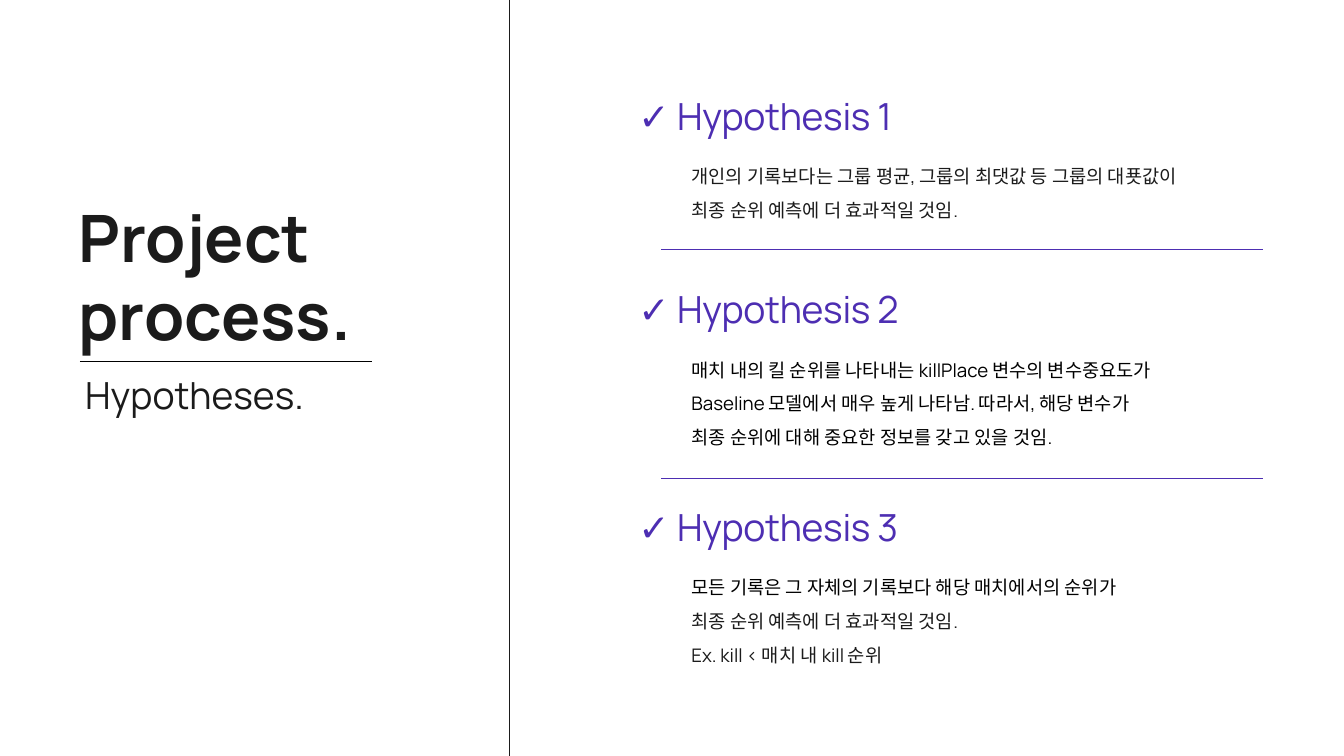
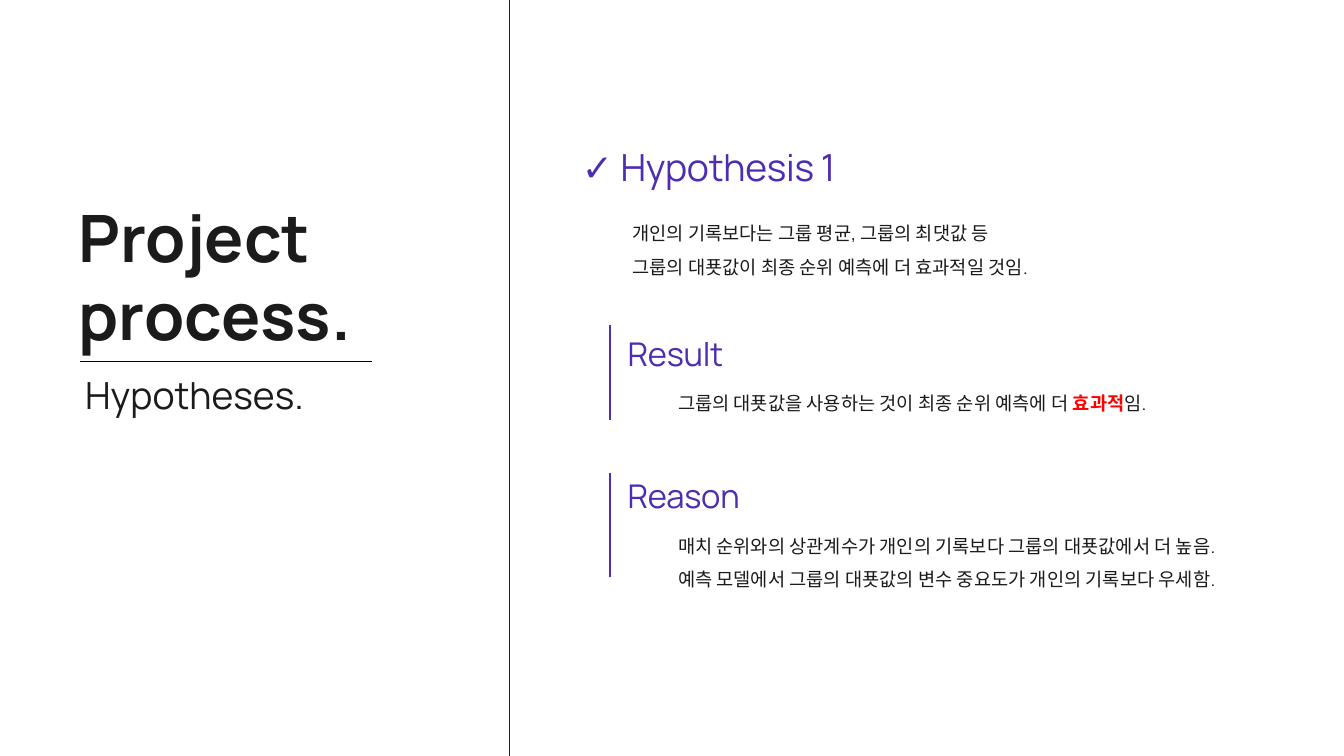
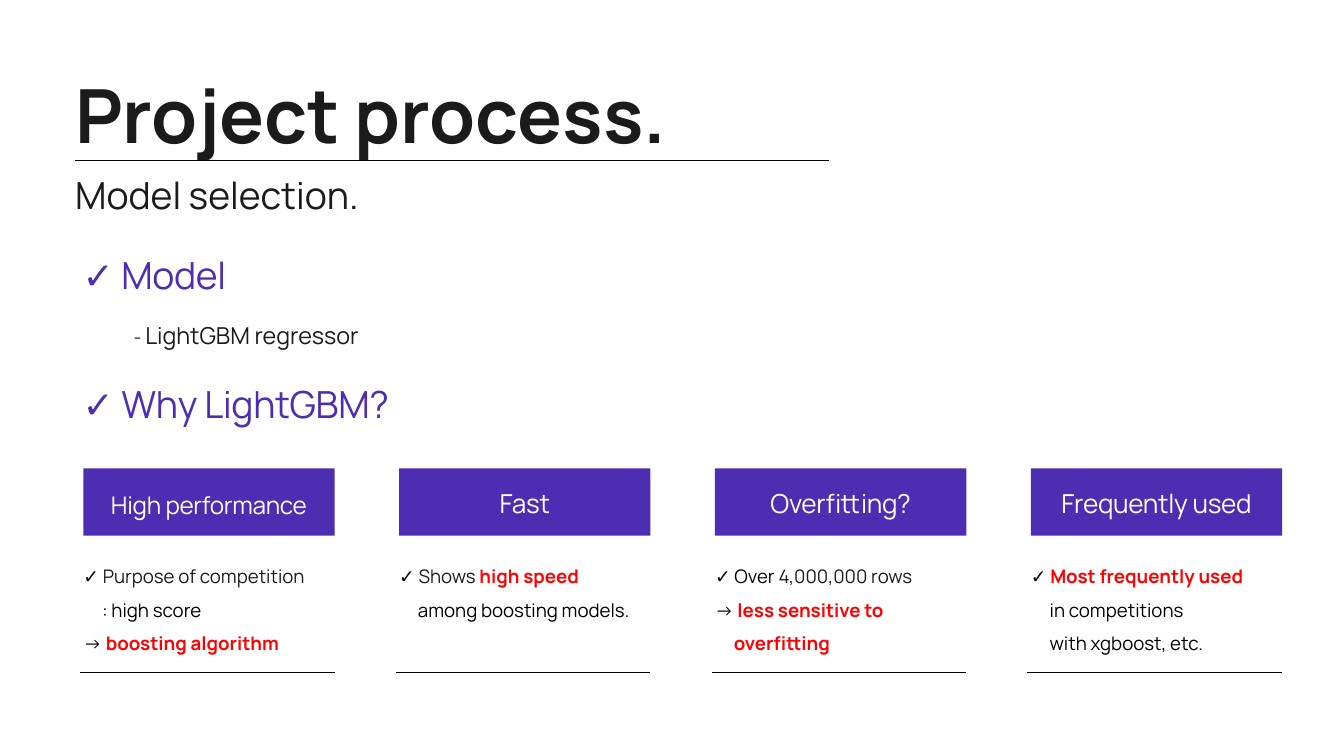
from dataclasses import dataclass, replace

from lxml.etree import SubElement
from pptx import Presentation
from pptx.dml.color import RGBColor
from pptx.enum.shapes import MSO_CONNECTOR, MSO_SHAPE
from pptx.enum.text import MSO_AUTO_SIZE, PP_ALIGN
from pptx.oxml.ns import qn
from pptx.util import Inches, Pt

# The slide is a grid of square cells, 20 columns wide and 11.25 rows high.
COLS, ROWS = 20, 11.25
CELL = Inches(1)

INK = RGBColor(0x1B, 0x1B, 0x1B)
BLACK = RGBColor(0, 0, 0)
WHITE = RGBColor(0xFF, 0xFF, 0xFF)
VIOLET = RGBColor(0x4D, 0x2E, 0xB2)
RED = RGBColor(0xFF, 0, 0)

FONT = "Manrope"
HANG = 0.28
TIGHT = Pt(36.4)
SNUG = Pt(28.4)


@dataclass(frozen=True)
class Look:
    size: float
    color: RGBColor = INK
    bold: bool = False
    track: float = 0


BODY = Look(20)
DARK = Look(20, BLACK)
HOT = Look(20, RED, True)
MARK = Look(40, VIOLET)
HEAD = replace(MARK, track=-0.3)
NOTE = replace(HEAD, size=35)
CARD = Look(28, WHITE, track=-0.3)
SUB = Look(40)


def cells(*parts):
    return [round(part * CELL) for part in parts]


def write(slide, box, lines, space=None, align=None, inset=(0, 0), hang=()):
    """Add a text box; each line is a list of (words, look) runs."""
    frame = slide.shapes.add_textbox(*cells(*box)).text_frame
    frame.word_wrap = True
    frame.auto_size = MSO_AUTO_SIZE.SHAPE_TO_FIT_TEXT
    frame.margin_left = frame.margin_right = cells(inset[0])[0]
    frame.margin_top = frame.margin_bottom = cells(inset[1])[0]
    for i, line in enumerate(lines):
        para = frame.add_paragraph() if i else frame.paragraphs[0]
        para.line_spacing, para.alignment = space, align
        if i in hang:
            para._p.get_or_add_pPr().set("marL", str(cells(HANG)[0]))
        for words, look in line:
            run = para.add_run()
            run.text = words
            font = run.font
            font.name, font.size, font.bold = FONT, Pt(look.size), look.bold
            font.color.rgb = look.color
            if look.track:
                run._r.get_or_add_rPr().set("spc", str(round(look.track * 100)))


def rule(slide, start, end, color=BLACK, width=0.75):
    line = slide.shapes.add_connector(
        MSO_CONNECTOR.STRAIGHT, *cells(*start, *end))
    line.line.color.rgb = color
    line.line.width = Pt(width)
    SubElement(line._element.spPr, qn("a:effectLst"))


def side(slide):
    """Draw the left column with the title and the divider."""
    title = Look(70, bold=True)
    write(slide, (1.17, 2.93, 4.71, 2.36),
          [[("Project", title)], [("process.", title)]])
    rule(slide, (1.19, 5.38), (5.54, 5.38))
    write(slide, (1.17, 5.76, 3.71, 0.56), [[("Hypotheses.", SUB)]],
          SNUG, inset=(0.1, 0.05))
    rule(slide, (7.58, ROWS), (7.58, 0), INK)


def check(slide, x, y, name):
    """Add a ticked heading."""
    write(slide, (x, y, 9.5, 0.55), [[("✓ ", MARK), (name, HEAD)]], TIGHT)


def body(slide, x, y, lines):
    write(slide, (x, y, 9, 0.5 * len(lines)), lines, 1.5)


def claim(slide, x, y, name, lines, shift):
    check(slide, x, y, name)
    body(slide, x + shift[0], y + shift[1], lines)


def panel(slide, x, y, high, lead, name, lines):
    """Add a heading and text beside an upright bar."""
    rule(slide, (x, y), (x, y + high), VIOLET, 2)
    write(slide, (x + 0.26, y + lead, 9, 0.53), [[(name, NOTE)]], TIGHT)
    body(slide, x + 1.01, y + lead + 0.63, lines)


def card(slide, x, y, wide, name, look, lines, hang):
    band = slide.shapes.add_shape(MSO_SHAPE.RECTANGLE, *cells(x, y, wide, 1))
    band.shadow.inherit = False
    band.fill.solid()
    band.fill.fore_color.rgb = VIOLET
    band.line.fill.background()
    write(slide, (x, y + 0.25, wide, 0.5), [[(name, look)]],
          TIGHT, PP_ALIGN.CENTER)
    write(slide, (x, y + 1.27, wide + 0.15, 1.5), lines, 1.5, hang=hang)
    rule(slide, (x - 0.05, y + 3.03), (x + wide, y + 3.03))


def ideas(slide):
    side(slide)
    claims = [
        (1.54, [[("개인의 기록보다는 그룹 평균, 그룹의 최댓값 등 그룹의 대푯값이", BODY)],
                [("최종 순위 예측에 더 효과적일 것임.", BODY)]]),
        (4.42, [[("매치 내의 킬 순위를 나타내는 killPlace 변수의 변수중요도가", DARK)],
                [("Baseline 모델에서 매우 높게 나타남. 따라서, 해당 변수가", DARK)],
                [("최종 순위에 대해 중요한 정보를 갖고 있을 것임.", DARK)]]),
        (7.66, [[("모든 기록은 그 자체의 기록보다 해당 매치에서의 순위가", DARK)],
                [("최종 순위 예측에 더 효과적일 것임.", BODY)],
                [("Ex. kill < 매치 내 kill 순위", BODY)]]),
    ]
    for i, (y, lines) in enumerate(claims, 1):
        claim(slide, 9.5, y, f"Hypothesis {i}", lines, (0.79, 0.75))
    for y in (3.71, 7.12):
        rule(slide, (9.84, y), (18.79, y), VIOLET)


def proof(slide):
    side(slide)
    claim(slide, 8.66, 2.3, "Hypothesis 1", [
        [("개인의 기록보다는 그룹 평균, 그룹의 최댓값 등", BODY)],
        [("그룹의 대푯값이 최종 순위 예측에 더 효과적일 것임.", BODY)],
    ], (0.75, 0.84))
    panel(slide, 9.08, 4.84, 1.41, 0.2, "Result", [
        [("그룹의 대푯값을 사용하는 것이 최종 순위 예측에 더 ", BODY),
         ("효과적", HOT), ("임.", BODY)],
    ])
    panel(slide, 9.08, 7.04, 1.55, 0.12, "Reason", [
        [("매치 순위와의 상관계수가 개인의 기록보다 그룹의 대푯값에서 더 높음.", BODY)],
        [("예측 모델에서 그룹의 대푯값의 변수 중요도가 개인의 기록보다 우세함.", BODY)],
    ])


def model(slide):
    write(slide, (1.12, 1.03, 13.92, 1.35),
          [[("Project process.", Look(80, bold=True))]])
    rule(slide, (1.12, 2.38), (12.33, 2.38))
    write(slide, (1.12, 2.83, 11.56, 0.46), [[("Model selection.", SUB)]], SNUG)
    claim(slide, 1.23, 3.91, "Model",
          [[("- ", BODY), ("LightGBM regressor", Look(25))]], (0.76, 0.66))
    check(slide, 1.23, 5.83, "Why LightGBM?")

    tick, arrow = ("✓ ", DARK), ("→ ", DARK)
    cards = [
        ("High performance", replace(CARD, size=26),
         [[tick, ("Purpose of competition", BODY)],
          [(": high score", DARK)],
          [arrow, ("boosting algorithm", HOT)]], (1,)),
        ("Fast", CARD,
         [[tick, ("Shows ", BODY), ("high speed", HOT)],
          [("among boosting models.", DARK)]], (1,)),
        ("Overfitting?", CARD,
         [[tick, ("Over ", DARK), ("4,000,000 rows", BODY)],
          [arrow, ("less sensitive to", HOT)],
          [("overfitting", HOT)]], (2,)),
        ("Frequently used", CARD,
         [[tick, ("Most frequently used", HOT)],
          [("in competitions", DARK)],
          [("with xgboost, etc.", DARK)]], (1, 2)),
    ]
    for i, parts in enumerate(cards):
        card(slide, 1.24 + 4.7 * i, 6.97, 3.74, *parts)


def main():
    deck = Presentation()
    deck.slide_width, deck.slide_height = cells(COLS, ROWS)
    for draw in (ideas, proof, model):
        draw(deck.slides.add_slide(deck.slide_layouts[6]))
    deck.save("out.pptx")


if __name__ == "__main__":
    main()
